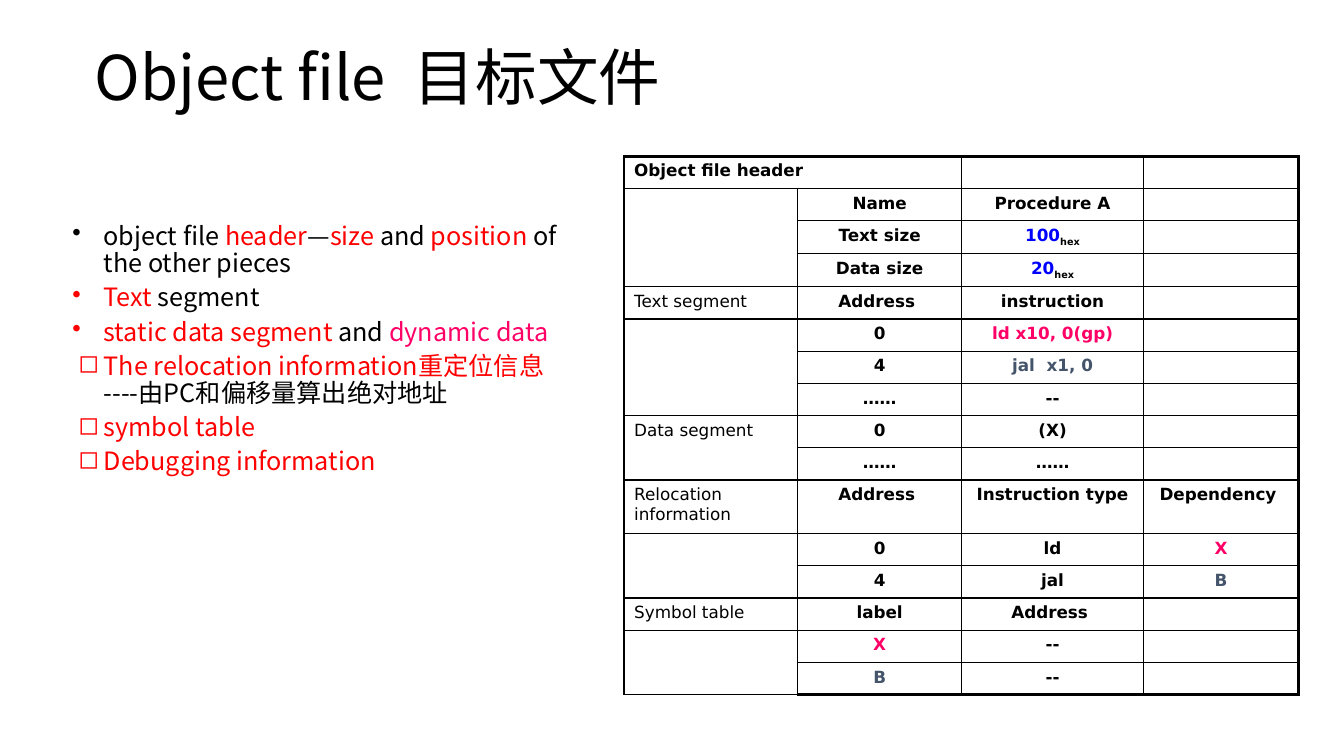
"""Build the slide on the parts of an object file."""
from dataclasses import dataclass

import lxml.etree
import pptx
import pptx.dml.color
import pptx.enum.text
import pptx.oxml.ns
import pptx.util

Inches = pptx.util.Inches
Pt = pptx.util.Pt
qn = pptx.oxml.ns.qn

BLACK, RED, PINK, BLUE, SLATE = "000000", "FF0000", "FF0066", "0000FF", "44546A"
BODY_FONT, TABLE_FONT = "Noto Sans CJK SC", "DejaVu Sans"
TABLE_SIZE = 12


@dataclass(frozen=True)
class Run:
    text: str
    color: str = BLACK
    subscript: bool = False


@dataclass(frozen=True)
class Bullet:
    symbol: str
    level: int
    hanging: float
    runs: tuple[Run, ...]


@dataclass(frozen=True)
class Span:
    row: int
    column: int
    rows: int
    columns: int


def dot(*runs: Run) -> Bullet:
    return Bullet("•", 2, 0.31, runs)


def square(*runs: Run) -> Bullet:
    return Bullet("◻", 1, 0.25, runs)


BULLETS = (
    dot(Run("object file "), Run("header", RED), Run("—"), Run("size ", RED),
        Run("and "), Run("position", RED), Run(" of the other pieces")),
    dot(Run("Text", RED), Run(" segment")),
    dot(Run("static data segment", RED), Run(" and "), Run("dynamic data", PINK)),
    square(Run("The relocation information重定位信息 ", RED),
           Run("----由PC和偏移量算出绝对地址")),
    square(Run("symbol table", RED)),
    square(Run("Debugging information", RED)),
)

HEX = Run("hex", subscript=True)
ROWS = (
    ("Object file header", "", "", ""),
    ("", "Name", "Procedure A", ""),
    ("", "Text size", (Run("100", BLUE), HEX), ""),
    ("", "Data size", (Run("20", BLUE), HEX), ""),
    ("Text segment", "Address ", "instruction", ""),
    ("", "0", (Run("ld x10, 0(gp)", PINK),), ""),
    ("", "4", (Run("jal  x1, 0", SLATE),), ""),
    ("", "……", "--", ""),
    ("Data segment", "0", "(X)", ""),
    ("", "……", "……", ""),
    ("Relocation information", "Address ", "Instruction type", "Dependency "),
    ("", "0", "ld", (Run("X", PINK),)),
    ("", "4", "jal", (Run("B", SLATE),)),
    ("Symbol table", "label", "Address ", ""),
    ("", (Run("X", PINK),), "--", ""),
    ("", (Run("B", SLATE),), "--", ""),
)
SPANS = (Span(0, 0, 1, 2), Span(1, 0, 3, 1), Span(5, 0, 3, 1),
         Span(8, 0, 2, 1), Span(11, 0, 2, 1), Span(14, 0, 2, 1))
COLUMN_WIDTHS = (1.72, 1.63, 1.8, 1.54)
ROW_HEIGHT, TALL_ROW, TALL_HEIGHT = 0.32, 10, 0.53


def rgb(color: str) -> pptx.dml.color.RGBColor:
    return pptx.dml.color.RGBColor.from_string(color)


def add_run(paragraph, content: Run, font_name: str, size: float, bold: bool = False) -> None:
    run = paragraph.add_run()
    run.text = content.text
    font = run.font
    font.name, font.size, font.bold = font_name, Pt(size), bold
    font.color.rgb = rgb(content.color)
    properties = font._element
    lxml.etree.SubElement(properties, qn("a:ea"), typeface=font_name)
    if content.subscript:
        properties.set("baseline", "-25000")


def add_title(slide) -> None:
    title = slide.shapes.title
    title.left, title.top = Inches(0.84), Inches(0.36)
    title.width, title.height = Inches(5.83), Inches(0.88)
    frame = title.text_frame
    frame.word_wrap = True
    frame.auto_size = pptx.enum.text.MSO_AUTO_SIZE.NONE
    frame.vertical_anchor = pptx.enum.text.MSO_ANCHOR.MIDDLE
    paragraph = frame.paragraphs[0]
    paragraph.alignment = pptx.enum.text.PP_ALIGN.LEFT
    paragraph.line_spacing = 0.9
    add_run(paragraph, Run("Object file  目标文件"), BODY_FONT, 44)


def add_bullets(slide) -> None:
    box = slide.shapes.add_textbox(Inches(0.13), Inches(2.17), Inches(5.75), Inches(4.06))
    frame = box.text_frame
    frame.word_wrap = True
    for index, bullet in enumerate(BULLETS):
        paragraph = frame.add_paragraph() if index else frame.paragraphs[0]
        paragraph.level = bullet.level
        paragraph.line_spacing = 0.9
        paragraph.space_before = Pt(5 if index else 0)
        properties = paragraph._p.get_or_add_pPr()
        properties.set("marL", str(Inches(0.8)))
        properties.set("indent", str(-Inches(bullet.hanging)))
        lxml.etree.SubElement(properties, qn("a:buChar"), char=bullet.symbol)
        for content in bullet.runs:
            add_run(paragraph, content, BODY_FONT, 18)


def set_borders(cell, row: int, column: int) -> None:
    outer_sides = {
        "a:lnL": column == 0,
        "a:lnR": column == len(COLUMN_WIDTHS) - 1,
        "a:lnT": row == 0,
        "a:lnB": row == len(ROWS) - 1,
    }
    properties = cell._tc.get_or_add_tcPr()
    for position, (tag, outer) in enumerate(outer_sides.items()):
        line = lxml.etree.Element(qn(tag), w=str(Pt(2.25 if outer else 1)))
        fill = lxml.etree.SubElement(line, qn("a:solidFill"))
        lxml.etree.SubElement(fill, qn("a:srgbClr"), val=BLACK)
        properties.insert(position, line)


def fill_cell(cell, content: str | tuple[Run, ...], row: int, column: int) -> None:
    cell.fill.solid()
    cell.fill.fore_color.rgb = rgb("FFFFFF")
    set_borders(cell, row, column)
    paragraph = cell.text_frame.paragraphs[0]
    if not content:
        lxml.etree.SubElement(paragraph._p, qn("a:endParaRPr"), sz=str(TABLE_SIZE * 100))
        return
    if column:
        paragraph.alignment = pptx.enum.text.PP_ALIGN.CENTER
    runs = (Run(content),) if isinstance(content, str) else content
    for run in runs:
        add_run(paragraph, run, TABLE_FONT, TABLE_SIZE, bold=column > 0 or row == 0)


def add_object_file_table(slide) -> None:
    frame = slide.shapes.add_table(len(ROWS), len(COLUMN_WIDTHS), Inches(6.19),
                                   Inches(1.55), Inches(6.69), Inches(5.33))
    table = frame.table
    table.first_row = table.horz_banding = False
    for column, width in zip(table.columns, COLUMN_WIDTHS):
        column.width = Inches(width)
    for row, contents in enumerate(ROWS):
        table.rows[row].height = Inches(TALL_HEIGHT if row == TALL_ROW else ROW_HEIGHT)
        for column, content in enumerate(contents):
            fill_cell(table.cell(row, column), content, row, column)
    for span in SPANS:
        last = table.cell(span.row + span.rows - 1, span.column + span.columns - 1)
        table.cell(span.row, span.column).merge(last)


def main() -> None:
    presentation = pptx.Presentation()
    presentation.slide_width, presentation.slide_height = Inches(13.33), Inches(7.5)
    slide = presentation.slides.add_slide(presentation.slide_layouts[5])
    add_title(slide)
    add_bullets(slide)
    add_object_file_table(slide)
    presentation.save("out.pptx")


if __name__ == "__main__":
    main()
